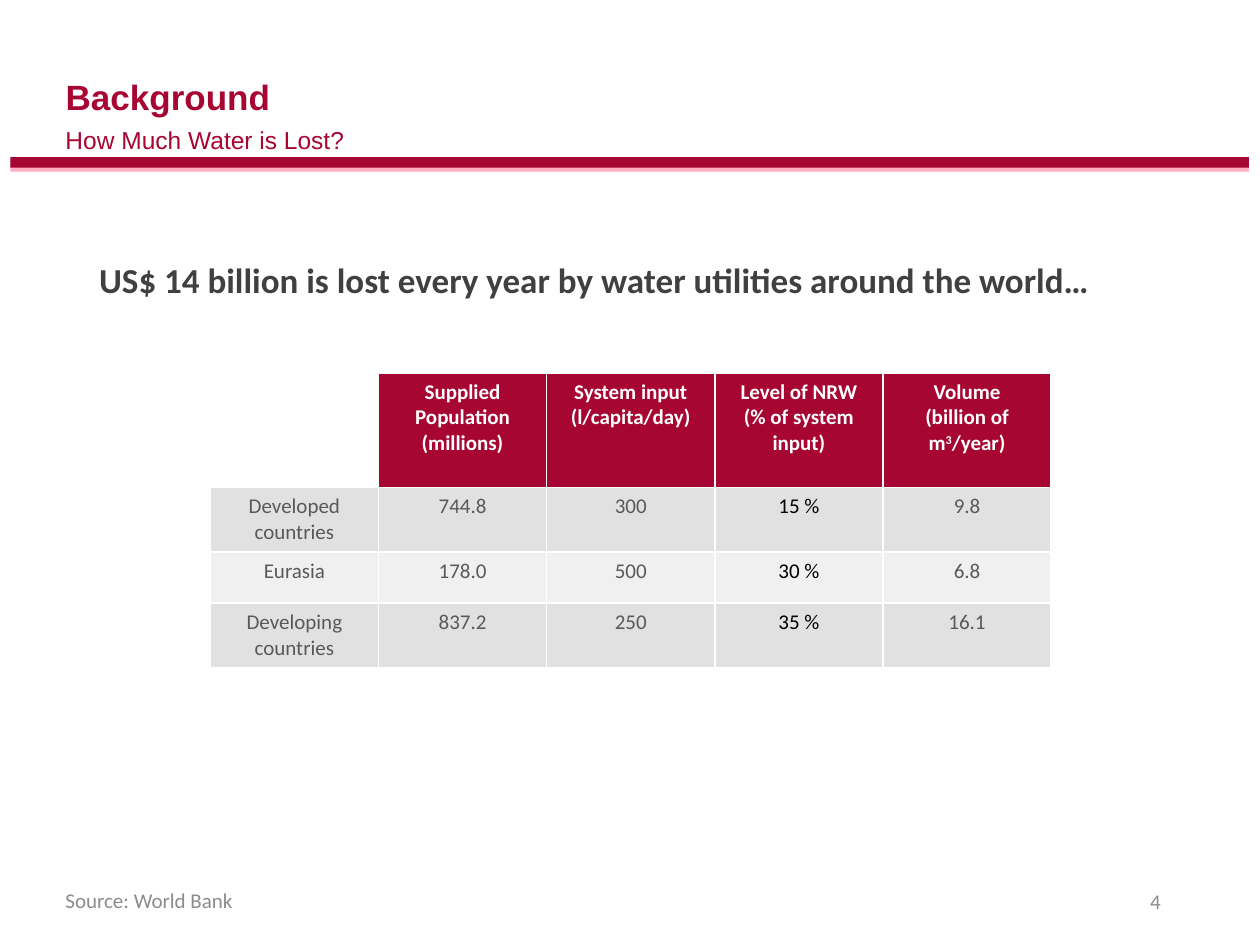
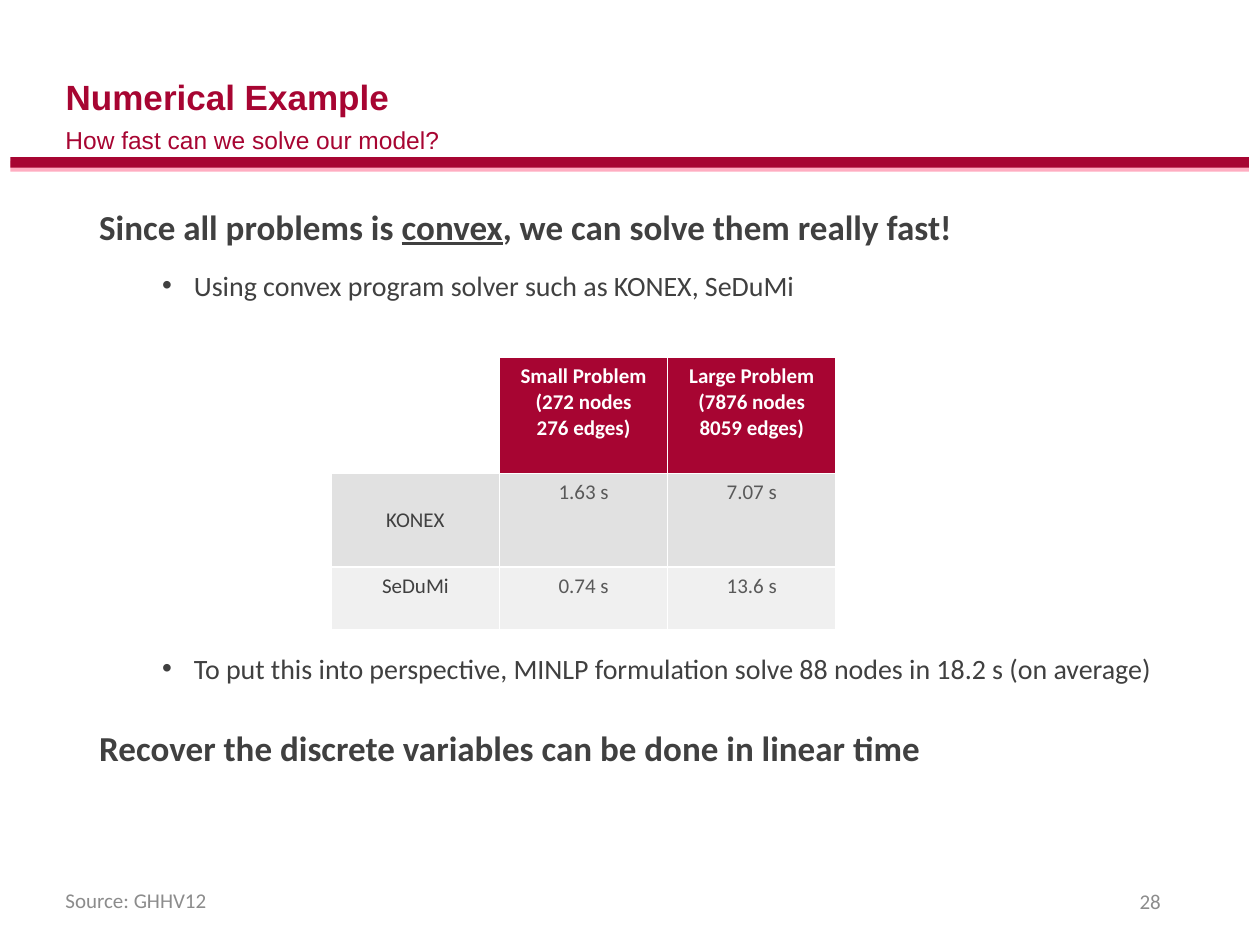
from lxml.etree import SubElement
from pptx import Presentation
from pptx.dml.color import RGBColor
from pptx.enum.shapes import MSO_SHAPE
from pptx.enum.text import MSO_ANCHOR, MSO_AUTO_SIZE, PP_ALIGN
from pptx.oxml.ns import qn
from pptx.util import Cm, Pt

HUES = {
    "red": "A70532", "pink": "FFADC1", "white": "FFFFFF", "black": "000000",
    "dark": "404040", "gray": "595959", "pale": "8C8C8C",
    "band": "E1E1E1", "light": "F0F0F0",
}
EDGE = 1.07
WIDE = 21.9


def hue(name):
    return RGBColor.from_string(HUES[name])


class Deck:
    def __init__(self):
        self.prs = Presentation()
        self.prs.slide_width, self.prs.slide_height = Cm(25.4), Cm(19.05)
        self.slide = None

    def style(self, par, size, color, bold=False, face="Calibri", align=PP_ALIGN.LEFT):
        par.alignment = align
        font = par.font
        font.size, font.name, font.bold = Pt(size), face, bold
        font.color.rgb = hue(color)

    def words(self, par, text, mark=None):
        for i, part in enumerate(text.split("|")):
            run = par.add_run()
            run.text = part
            if i % 2:
                mark(run)

    def under(self, run):
        run.font.underline = True

    def raised(self, run):
        run._r.get_or_add_rPr().set("baseline", "30000")

    def box(self, x, y, w, h, anchor=MSO_ANCHOR.MIDDLE):
        frame = self.slide.shapes.add_textbox(Cm(x), Cm(y), Cm(w), Cm(h)).text_frame
        frame.word_wrap = True
        frame.vertical_anchor = anchor
        return frame

    def label(self, text, x, y, w, h, size, color, **look):
        par = self.box(x, y, w, h).paragraphs[0]
        self.words(par, text)
        self.style(par, size, color, **look)
        return par

    def bar(self, y, color):
        shape = self.slide.shapes.add_shape(
            MSO_SHAPE.RECTANGLE, Cm(0.21), Cm(y), Cm(24.97), Cm(0.21))
        shape.shadow.inherit = False
        shape.fill.solid()
        shape.fill.fore_color.rgb = hue(color)
        shape.line.fill.background()

    def page(self, title, sub, source, number):
        self.slide = self.prs.slides.add_slide(self.prs.slide_layouts[5])
        head = self.slide.shapes.title
        head.left, head.top, head.width, head.height = Cm(EDGE), Cm(1.27), Cm(WIDE), Cm(1.47)
        frame = head.text_frame
        frame.auto_size = MSO_AUTO_SIZE.NONE
        frame.vertical_anchor = MSO_ANCHOR.MIDDLE
        par = frame.paragraphs[0]
        self.words(par, title)
        par.line_spacing = 0.9
        self.style(par, 20, "red", bold=True, face="Arial")
        self.bar(3.25, "pink")
        self.bar(3.17, "red")
        par = self.label(sub, EDGE, 2.11, WIDE, 1.47, 14, "red", face="Arial")
        par.line_spacing = 0.9
        self.label(source, EDGE, 17.63, 5.72, 1.02, 12, "pale")
        self.label(number, 17.93, 17.65, 5.72, 1.02, 12, "pale", align=PP_ALIGN.RIGHT)

    def body(self, y, h, lines):
        frame = self.box(1.75, y, 22.17, h, MSO_ANCHOR.TOP)
        for i, (text, point) in enumerate(lines):
            par = frame.add_paragraph() if i else frame.paragraphs[0]
            self.words(par, text, self.under)
            par.space_after = Pt(12)
            if point:
                props = par._p.get_or_add_pPr()
                props.set("marL", str(Cm(1.91)))
                props.set("indent", str(Cm(-0.64)))
                SubElement(props, qn("a:buFont")).set("typeface", "Arial")
                SubElement(props, qn("a:buChar")).set("char", "•")
            elif i:
                par.space_before = Pt(12)
            self.style(par, 16 if point else 20, "dark", bold=not point)

    def grid(self, x, y, highs, rows, tints):
        wide = Cm(3.39)
        count = len(rows[0])
        table = self.slide.shapes.add_table(
            len(rows), count, Cm(x), Cm(y), wide * count, Cm(sum(highs))).table
        for col in table.columns:
            col.width = wide
        for r, (high, row) in enumerate(zip(highs, rows)):
            table.rows[r].height = Cm(high)
            for c, text in enumerate(row):
                self.cell(table.cell(r, c), text, r, tints.get(c, "gray"))
        return table

    def cell(self, cell, text, row, tint):
        if not text:
            cell.fill.background()
            return
        cell.fill.solid()
        cell.fill.fore_color.rgb = hue("red" if row == 0 else "band" if row % 2 else "light")
        frame = cell.text_frame
        for i, line in enumerate(text.split("\n")):
            par = frame.add_paragraph() if i else frame.paragraphs[0]
            self.words(par, line, self.raised)
            self.style(par, 12, tint if row else "white", bold=row == 0, align=PP_ALIGN.CENTER)


def main():
    deck = Deck()

    deck.page("Background", "How Much Water is Lost?", "Source: World Bank", "4")
    deck.grid(4.24, 7.52, [2.31, 1.3, 1.03, 1.3], [
        ["", "Supplied Population (millions)", "System input\n(l/capita/day)",
         "Level of NRW\n(% of system input)", "Volume\n(billion of m|3|/year)"],
        ["Developed countries", "744.8", "300", "15 %", "9.8"],
        ["Eurasia", "178.0", "500", "30 %", "6.8"],
        ["Developing countries", "837.2", "250", "35 %", "16.1"],
    ], {3: "black"})
    deck.body(5.08, 1.2, [
        ("US$ 14 billion is lost every year by water utilities around the world…", False)])

    deck.page("Numerical Example", "How fast can we solve our model?", "Source: GHHV12", "28")
    deck.body(4.01, 2.6, [
        ("Since all problems is |convex|, we can solve them really fast!", False),
        ("Using convex program solver such as KONEX, SeDuMi", True)])
    times = deck.grid(6.68, 7.21, [2.34, 1.88, 1.27], [
        ["", "Small Problem\n(272 nodes\n276 edges)", "Large Problem\n(7876 nodes\n8059 edges)"],
        ["KONEX", "1.63 s", "7.07 s"],
        ["SeDuMi", "0.74 s", "13.6 s"],
    ], {0: "dark"})
    times.cell(1, 0).vertical_anchor = MSO_ANCHOR.MIDDLE
    deck.body(13, 3, [
        ("To put this into perspective, MINLP formulation solve 88 nodes in 18.2 s (on average)",
         True),
        ("Recover the discrete variables can be done in linear time", False)])

    deck.prs.save("out.pptx")


if __name__ == "__main__":
    main()
